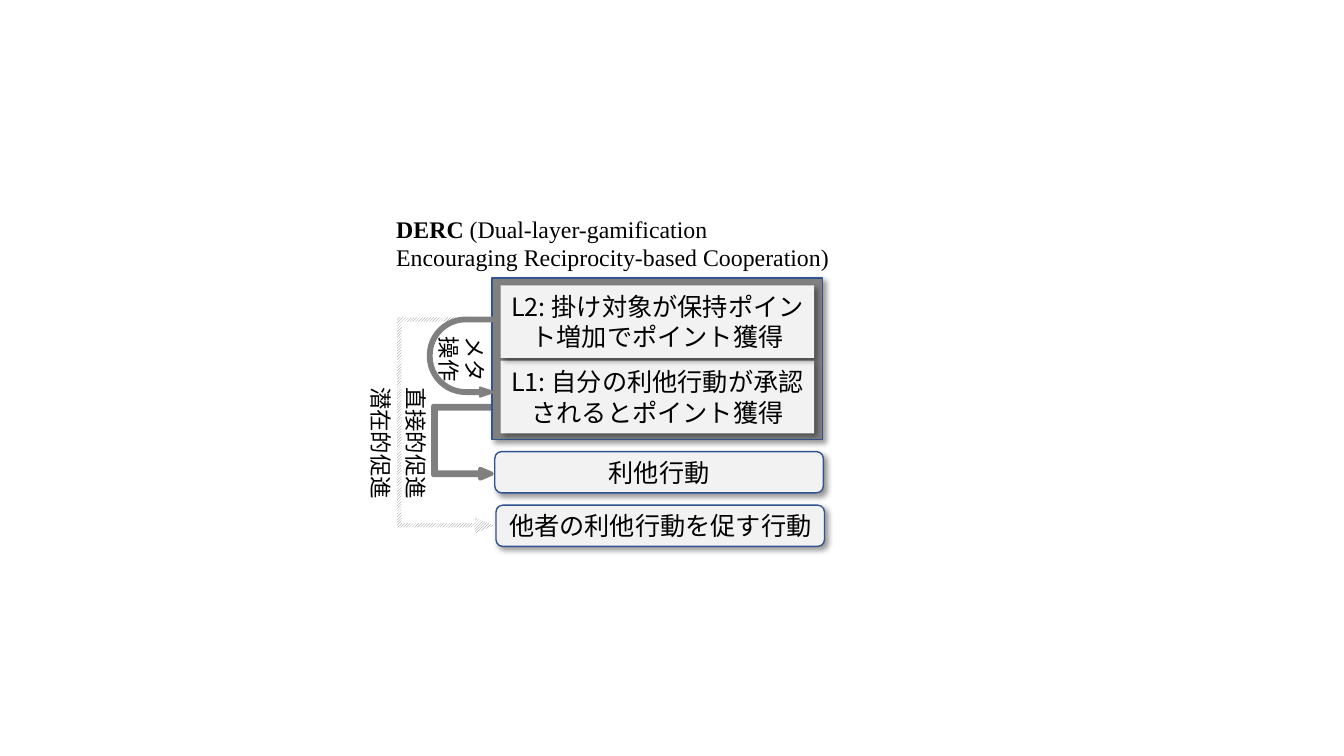
"""Build the DERC slide: two gamification layers and the behaviours they promote."""
from lxml import etree
from pptx import Presentation
from pptx.dml.color import RGBColor
from pptx.enum.dml import MSO_PATTERN
from pptx.enum.shapes import MSO_SHAPE
from pptx.enum.text import MSO_ANCHOR, MSO_AUTO_SIZE, PP_ALIGN
from pptx.oxml.ns import qn
from pptx.util import Cm, Pt

RECT, ROUND, UTURN = MSO_SHAPE.RECTANGLE, MSO_SHAPE.ROUNDED_RECTANGLE, MSO_SHAPE.U_TURN_ARROW
DIAGONAL = MSO_PATTERN.DARK_UPWARD_DIAGONAL
TOP, MIDDLE = MSO_ANCHOR.TOP, MSO_ANCHOR.MIDDLE
LEFT, CENTER = PP_ALIGN.LEFT, PP_ALIGN.CENTER
NO_FIT, GROW = MSO_AUTO_SIZE.NONE, MSO_AUTO_SIZE.SHAPE_TO_FIT_TEXT

THEME = {
    "text": RGBColor(0x00, 0x00, 0x00),
    "gray": RGBColor(0x80, 0x80, 0x80),
    "box": RGBColor(0xF2, 0xF2, 0xF2),
    "edge": RGBColor(0x32, 0x54, 0x91),
    "white": RGBColor(0xFF, 0xFF, 0xFF),
    "title_size": Pt(17),
    "box_size": Pt(18),
    "label_size": Pt(16),
    "latin": "Times New Roman",
    "japanese": "Noto Sans CJK JP",
}


def add_run(p, text, size, font, bold=False):
    """Append one formatted run to a paragraph."""
    r = p.add_run()
    r.text = text
    r.font.size, r.font.name, r.font.bold = size, font, bold
    r.font.color.rgb = THEME["text"]
    etree.SubElement(r.font._element, qn("a:ea"), typeface=font)


def add_part(kind, box, fill, edge=None, width=1):
    """Add a filled shape without a shadow."""
    sp = s.shapes.add_shape(kind, *map(Cm, box))
    sp.shadow.inherit = False
    sp.fill.solid()
    sp.fill.fore_color.rgb = fill
    if edge is None:
        sp.line.fill.background()
    else:
        sp.line.color.rgb = edge
        sp.line.width = Pt(width)
    return sp


prs = Presentation()
prs.slide_width, prs.slide_height = Cm(33.87), Cm(19.05)
s = prs.slides.add_slide(prs.slide_layouts[5])

title = s.shapes.title
title.left, title.top, title.width, title.height = map(Cm, (9.73, 5.28, 11.46, 1.7))
tf = title.text_frame
tf.word_wrap, tf.auto_size, tf.vertical_anchor = True, NO_FIT, TOP
p = tf.paragraphs[0]
p.alignment = LEFT
add_run(p, "DERC", THEME["title_size"], THEME["latin"], True)
add_run(p, " (Dual-layer-gamification　Encouraging Reciprocity-based Cooperation)",
        THEME["title_size"], THEME["latin"])

thin = (0.044, 0.082, 0.195, 0, 1)
curved = (0.066, 0.073, 0.224, 0.564, 1)
direct = ((10.74, 10.41, 1.83, 1.47), 90, "flipV", thin, 3)
latent = ((8.51, 9.5, 5.44, 2.44), 90, "flipV", thin, None)
meta = ((10.62, 8.15, 2.01, 1.7), 270, "flipH", curved, 1)

boxes = [
    (RECT, (12.4, 7.01, 8.33, 4.06), THEME["gray"], THEME["edge"], ""),
    (RECT, (12.62, 9.09, 7.9, 1.83), THEME["box"], None, "L1: 自分の利他行動が承認されるとポイント獲得"),
    (RECT, (12.62, 7.19, 7.9, 1.83), THEME["box"], None, "L2: 掛け対象が保持ポイント増加でポイント獲得"),
    (ROUND, (12.5, 12.73, 8.28, 1.04), THEME["box"], THEME["edge"], "他者の利他行動を促す行動"),
    (ROUND, (12.47, 11.38, 8.28, 1.04), THEME["box"], THEME["edge"], "利他行動"),
]

for arrows, group in (((direct, latent), boxes), ((meta,), [])):
    for box, angle, flip, adjustments, width in arrows:
        sp = add_part(UTURN, box, THEME["gray"], THEME["gray"] if width else None, width)
        sp.rotation = angle
        sp._element.spPr.find(qn("a:xfrm")).set(flip, "1")
        for i, value in enumerate(adjustments):
            sp.adjustments[i] = value
        if width is None:
            sp.fill.patterned()
            sp.fill.pattern = DIAGONAL
            sp.fill.fore_color.rgb = THEME["gray"]
            sp.fill.back_color.rgb = THEME["white"]
    for kind, box, fill, edge, text in group:
        sp = add_part(kind, box, fill, edge)
        effects = sp._element.spPr.find(qn("a:effectLst"))
        shadow = etree.SubElement(effects, qn("a:outerShdw"), blurRad=str(Pt(4)), dist=str(Pt(3)),
                                  dir="2700000", algn="tl", rotWithShape="0")
        color = etree.SubElement(shadow, qn("a:srgbClr"), val=str(THEME["text"]))
        etree.SubElement(color, qn("a:alpha"), val="40000")
        if text:
            tf = sp.text_frame
            tf.word_wrap, tf.vertical_anchor = True, MIDDLE
            p = tf.paragraphs[0]
            p.alignment = CENTER
            add_run(p, text, THEME["box_size"], THEME["japanese"])

labels = [
    ("潜在的促進", (7.9, 10.74, 3.4, 0.94)),
    ("直接的促進", (8.79, 10.74, 3.4, 0.94)),
    ("メタ操作", (10.8, 8.26, 1.68, 1.63)),
]
for text, box in labels:
    sp = s.shapes.add_textbox(*map(Cm, box))
    sp.rotation = 90
    tf = sp.text_frame
    tf.word_wrap, tf.auto_size = True, GROW
    add_run(tf.paragraphs[0], text, THEME["label_size"], THEME["japanese"])

prs.save("out.pptx")
